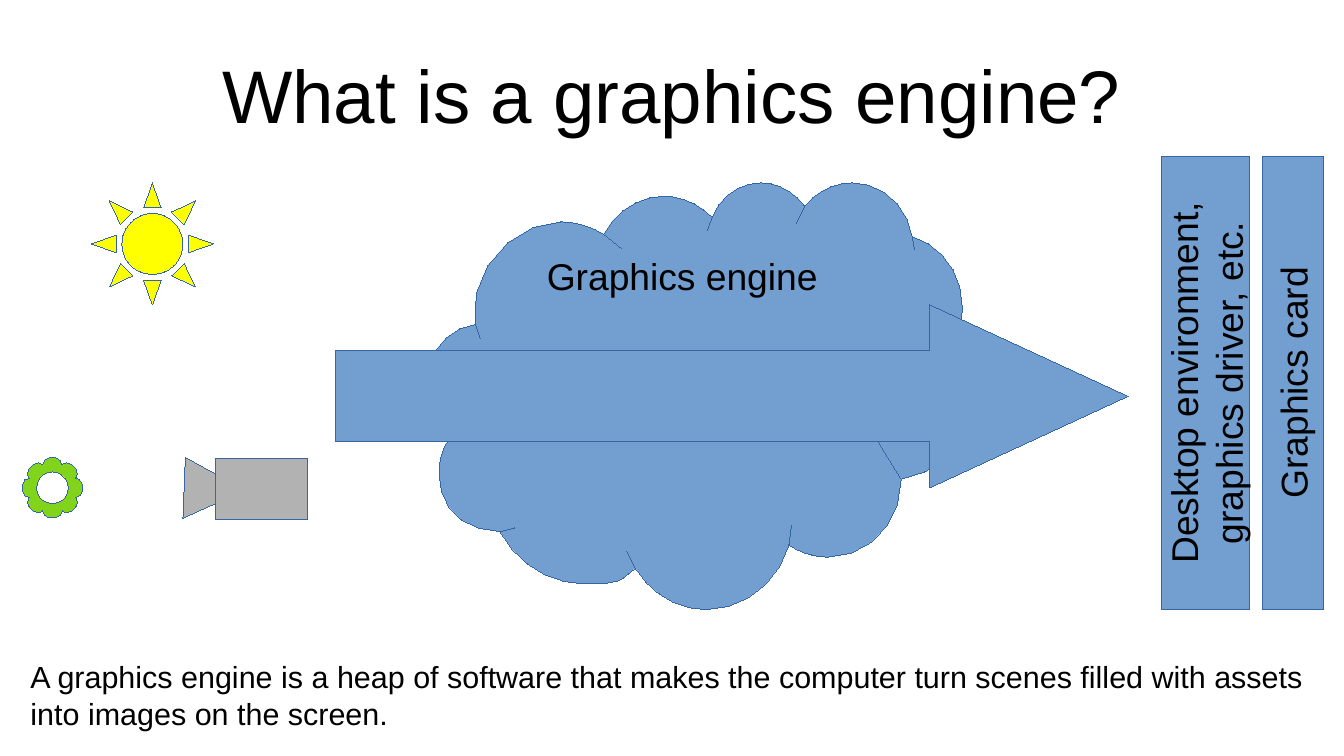
"""Build the slide that explains what a graphics engine is."""
from math import cos, pi, sin

from pptx import Presentation
from pptx.dml.color import RGBColor
from pptx.enum import shapes, text
from pptx.util import Inches, Pt

BLACK = RGBColor(0x00, 0x00, 0x00)
BLUE = RGBColor(0x72, 0x9F, 0xCF)
EDGE = RGBColor(0x34, 0x65, 0xA4)
YELLOW = RGBColor(0xFF, 0xFF, 0x00)
GRAY = RGBColor(0xB2, 0xB2, 0xB2)
GREEN = RGBColor(0x81, 0xD4, 0x1A)

FONT = "Arial"
TITLE = "What is a graphics engine?"
ENGINE = "Graphics engine"
SUMMARY = ("A graphics engine is a heap of software that makes the computer "
           "turn scenes filled with assets into images on the screen.")

SHAPE = shapes.MSO_SHAPE
ANCHOR = text.MSO_ANCHOR
ALIGN = text.PP_ALIGN
HAIRLINE = Pt(0.01)

SCENE = [
    (SHAPE.SUN, (0.75, 1.5, 1, 1), YELLOW, 0, [0.25]),
    (SHAPE.ISOSCELES_TRIANGLE, (1.51, 3.76, 0.5, 0.5), GRAY, 92.3, [0.5]),
    (SHAPE.RECTANGLE, (1.77, 3.76, 0.75, 0.5), GRAY, 0, []),
    (SHAPE.RIGHT_ARROW, (2.75, 2.5, 6.5, 1.5), BLUE, 0, [0.5, 1.083]),
]
BAR_TOP, BAR_HEIGHT = 1.28, 3.72
BARS = [
    ("Desktop environment, graphics driver, etc.", 9.52, 0.73),
    ("Graphics card", 10.35, 0.5),
]

CLOUD_START = (3.9, 2.66)
CLOUD_CURVES = [
    ((3.82, 2.23), (4.21, 1.82), (4.6, 1.82)),
    ((4.72, 1.82), (4.85, 1.86), (4.95, 1.92)),
    ((5.05, 1.73), (5.24, 1.61), (5.45, 1.61)),
    ((5.58, 1.61), (5.73, 1.67), (5.84, 1.78)),
    ((5.91, 1.6), (6.07, 1.5), (6.24, 1.5)),
    ((6.38, 1.5), (6.51, 1.57), (6.6, 1.69)),
    ((6.69, 1.57), (6.84, 1.5), (6.99, 1.5)),
    ((7.23, 1.5), (7.44, 1.68), (7.48, 1.94)),
    ((7.72, 2.01), (7.89, 2.24), (7.89, 2.51)),
    ((7.89, 2.59), (7.88, 2.67), (7.84, 2.74)),
    ((7.94, 2.87), (8, 3.03), (8, 3.19)),
    ((8, 3.57), (7.73, 3.88), (7.39, 3.93)),
    ((7.39, 4.29), (7.12, 4.57), (6.79, 4.57)),
    ((6.67, 4.57), (6.56, 4.53), (6.47, 4.47)),
    ((6.38, 4.78), (6.1, 5), (5.79, 5)),
    ((5.56, 5), (5.34, 4.87), (5.21, 4.66)),
    ((5.09, 4.74), (5.15, 4.79), (4.8, 4.79)),
    ((4.51, 4.79), (4.24, 4.62), (4.1, 4.36)),
    ((3.77, 4.35), (3.6, 4.14), (3.6, 3.88)),
    ((3.6, 3.75), (3.64, 3.64), (3.72, 3.55)),
    ((3.58, 3.47), (3.5, 3.32), (3.5, 3.14)),
    ((3.5, 2.89), (3.67, 2.69), CLOUD_START),
]
CLOUD_FOLDS = [
    [CLOUD_START, (3.94, 2.78)],
    [(4.95, 1.92), (5.1, 2.04)],
    [(5.84, 1.78), (5.8, 1.89)],
    [(6.6, 1.69), (6.53, 1.83)],
    [(7.48, 1.94), (7.5, 2.05)],
    [(7.84, 2.74), (7.69, 2.96)],
    [(7.39, 3.93), (7.04, 3.36)],
    [(6.47, 4.47), (6.49, 4.31)],
    [(5.21, 4.66), (5.14, 4.52)],
    [(4.1, 4.36), (4.22, 4.33)],
    [(3.72, 3.55), (3.99, 3.61)],
]
FLOWER_CENTER, HOLE_RADIUS, HOLE_POINTS = (0.43, 4), 0.13, 20
PETALS, PETAL_BASE, PETAL_HEIGHT, PETAL_HALF = 8, 0.19, 0.06, 0.08
STEPS = 5


def bezier(a, b, c, d):
    """Return points along a cubic curve, without its start."""
    points = []
    for i in range(1, STEPS + 1):
        t = i / STEPS
        weights = ((1 - t) ** 3, 3 * t * (1 - t) ** 2, 3 * t * t * (1 - t), t ** 3)
        points.append(tuple(sum(w * v for w, v in zip(weights, axis))
                            for axis in zip(a, b, c, d)))
    return points


def around_flower(radial, across, angle):
    """Turn a petal's own coordinates into a place on the slide."""
    x, y = FLOWER_CENTER
    return (x + radial * cos(angle) - across * sin(angle),
            y + radial * sin(angle) + across * cos(angle))


def paint(sp, fill):
    """Give a shape its fill and thin edge."""
    sp.shadow.inherit = False
    sp.fill.solid()
    sp.fill.fore_color.rgb = fill
    sp.line.color.rgb = EDGE
    sp.line.width = HAIRLINE
    return sp


def outline(s, edge, inner, fill):
    """Draw an edge and its inner contours as one freeform."""
    start, *rest = [(Inches(x), Inches(y)) for x, y in edge]
    builder = s.shapes.build_freeform(*start)
    builder.add_line_segments(rest)
    for contour in inner:
        first, *rest = [(Inches(x), Inches(y)) for x, y in contour]
        builder.move_to(*first)
        builder.add_line_segments(rest, close=len(rest) > 1)
    return paint(builder.convert_to_shape(), fill)


def write(sp, words, size, align, anchor, margins=(0, 0, 0, 0)):
    """Fill a shape with formatted text."""
    tf = sp.text_frame
    left, top, right, bottom = map(Inches, margins)
    frame = {"word_wrap": True, "auto_size": text.MSO_AUTO_SIZE.NONE,
             "vertical_anchor": anchor, "margin_left": left, "margin_top": top,
             "margin_right": right, "margin_bottom": bottom}
    for name, value in frame.items():
        setattr(tf, name, value)
    p = tf.paragraphs[0]
    p.alignment = align
    r = p.add_run()
    r.text = words
    for name, value in {"name": FONT, "size": Pt(size)}.items():
        setattr(r.font, name, value)
    r.font.color.rgb = BLACK


def main():
    """Compose and save the slide."""
    prs = Presentation()
    prs.slide_width, prs.slide_height = Inches(11.02), Inches(6.2)
    s = prs.slides.add_slide(prs.slide_layouts[5])

    title = s.shapes.title
    place = zip(("left", "top", "width", "height"), (0.55, 0.25, 9.92, 1.04))
    for name, value in place:
        setattr(title, name, Inches(value))
    write(title, TITLE, 44, ALIGN.CENTER, ANCHOR.MIDDLE)

    edge = [CLOUD_START]
    for curve in CLOUD_CURVES:
        edge += bezier(edge[-1], *curve)
    cloud = outline(s, edge, CLOUD_FOLDS, BLUE)
    write(cloud, ENGINE, 22, ALIGN.CENTER, ANCHOR.TOP, (0.1, 0.58, 0.41, 0.05))

    for kind, box, fill, turn, adjustments in SCENE:
        sp = paint(s.shapes.add_shape(kind, *map(Inches, box)), fill)
        sp.rotation = turn
        for i, value in enumerate(adjustments):
            sp.adjustments[i] = value

    petals = [around_flower(PETAL_BASE + PETAL_HEIGHT * cos(t),
                            PETAL_HALF * sin(t), 2 * pi * k / PETALS)
              for k in range(PETALS)
              for t in (pi * (i / STEPS - 0.5) for i in range(STEPS))]
    hole = [around_flower(HOLE_RADIUS, 0, -2 * pi * i / HOLE_POINTS)
            for i in range(HOLE_POINTS)]
    outline(s, petals, [hole], GREEN)

    for words, left, width in BARS:
        box = map(Inches, (left, BAR_TOP, width, BAR_HEIGHT))
        paint(s.shapes.add_shape(SHAPE.RECTANGLE, *box), BLUE)
        shift = (BAR_HEIGHT - width) / 2
        label = s.shapes.add_textbox(*map(Inches, (
            left - shift, BAR_TOP + shift, BAR_HEIGHT, width)))
        label.rotation = 270
        write(label, words, 22, ALIGN.CENTER, ANCHOR.MIDDLE)

    summary = s.shapes.add_textbox(*map(Inches, (0.25, 5, 10.5, 1)))
    write(summary, SUMMARY, 18, ALIGN.LEFT, ANCHOR.BOTTOM)
    prs.save("out.pptx")


if __name__ == "__main__":
    main()
